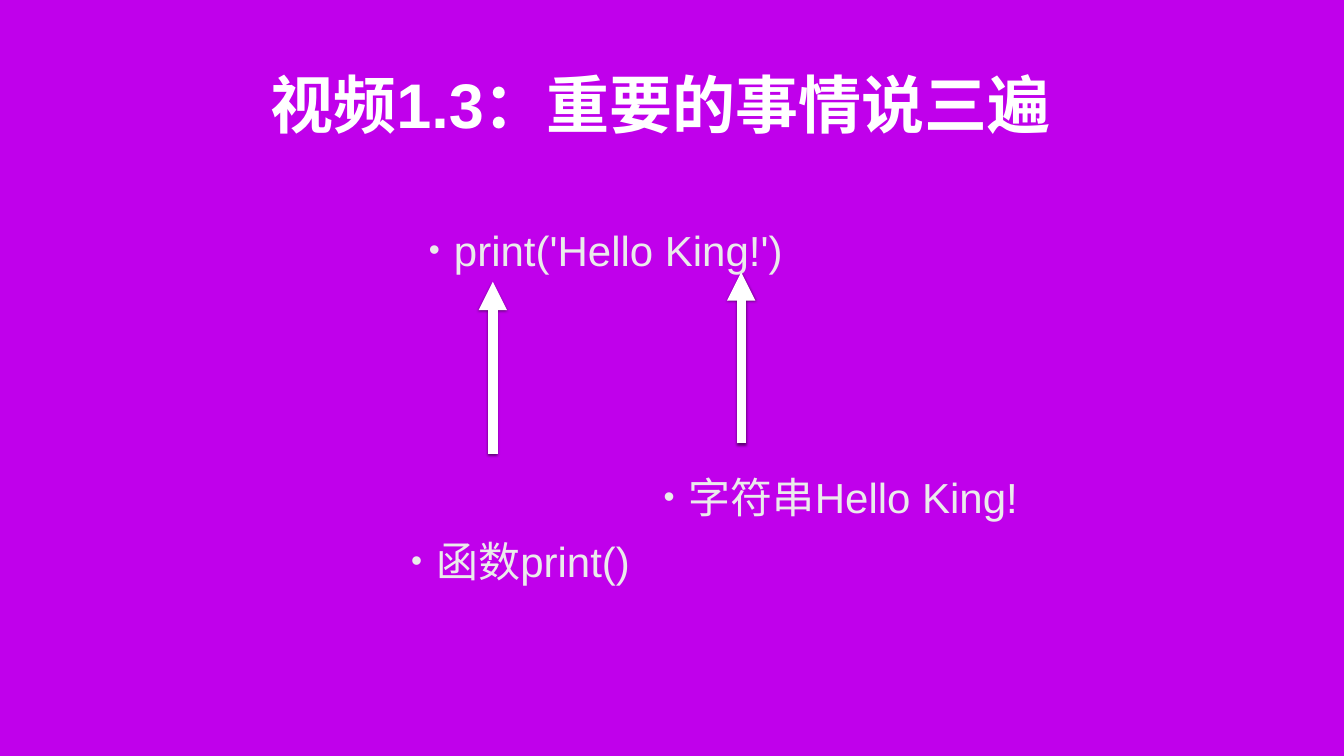
from pptx import Presentation
from pptx.dml.color import RGBColor
from pptx.enum.shapes import MSO_CONNECTOR as Connector
from pptx.enum.text import MSO_ANCHOR as Anchor, MSO_AUTO_SIZE as AutoSize, PP_ALIGN as Align
from pptx.oxml import parse_xml
from pptx.oxml.ns import nsdecls
from pptx.util import Cm, Pt

COLOURS = {"background": "C000EB", "title": "FFFFFF", "body": "EBEBEB",
           "arrow": "FFFFFF", "shadow": "000000"}
FONT = "Arial"
INSET = Cm(0.15)
INDENT = Cm(1.27)


def colour(name):
    return RGBColor.from_string(COLOURS[name])


def place(shape, left, top, width, height):
    shape.left, shape.top = Cm(left), Cm(top)
    shape.width, shape.height = Cm(width), Cm(height)


def add_bullet(para):
    """Give the paragraph a small round bullet with a hanging indent."""
    props = para._p.get_or_add_pPr()
    props.set("marL", str(INDENT))
    props.set("indent", str(-INDENT))
    for element in ('buSzPct {} val="75000"', 'buFont {} typeface="Arial"', 'buChar {} char="•"'):
        props.append(parse_xml(f"<a:{element.format(nsdecls('a'))}/>"))


def write(shape, text, size=60, shade="body", bold=False, align=Align.LEFT,
          spacing=1.0, bullet=False):
    frame = shape.text_frame
    frame.word_wrap = True
    frame.auto_size = AutoSize.NONE
    frame.vertical_anchor = Anchor.MIDDLE
    frame.margin_left = frame.margin_right = INSET
    frame.margin_top = frame.margin_bottom = INSET
    para = frame.paragraphs[0]
    if bullet:
        add_bullet(para)
    para.alignment = align
    para.line_spacing = spacing
    para.space_before = Pt(0)
    span = para.add_run()
    span.text = text
    span.font.name = FONT
    span.font.size = Pt(size)
    span.font.bold = bold
    span.font.color.rgb = colour(shade)


def add_label(page, text, left, top):
    box = page.shapes.add_textbox(Cm(left), Cm(top), Cm(26.82), Cm(11.99))
    write(box, text, spacing=2.0, bullet=True)


def add_up_arrow(page, x, bottom, top):
    arrow = page.shapes.add_connector(Connector.STRAIGHT, Cm(x), Cm(bottom), Cm(x), Cm(top))
    arrow.line.width = Pt(13.5)
    arrow.line.color.rgb = colour("arrow")
    arrow.line._get_or_add_ln().append(parse_xml(f'<a:tailEnd {nsdecls("a")} type="triangle"/>'))
    arrow._element.spPr.append(parse_xml(
        f'<a:effectLst {nsdecls("a")}>'
        f'<a:outerShdw blurRad="{Pt(4)}" dist="{Pt(2)}" dir="5400000" rotWithShape="0">'
        f'<a:srgbClr val="{COLOURS["shadow"]}"><a:alpha val="50000"/></a:srgbClr>'
        '</a:outerShdw></a:effectLst>'))


def main():
    deck = Presentation()
    deck.slide_width, deck.slide_height = Cm(67.74), Cm(38.1)
    page = deck.slides.add_slide(deck.slide_layouts[1])
    page.background.fill.solid()
    page.background.fill.fore_color.rgb = colour("background")

    title, code = page.placeholders
    place(title, 3.4, 0.25, 59.79, 9.91)
    write(title, "视频1.3：重要的事情说三遍", size=90, shade="title", bold=True, align=Align.CENTER)
    place(code, 21.46, 8.38, 28.55, 5.84)
    write(code, "print('Hello King!')", spacing=2.0, bullet=True)

    add_up_arrow(page, 24.84, bottom=22.86, top=14.2)
    add_label(page, "函数print()", 20.57, 20.98)
    add_up_arrow(page, 37.36, bottom=22.35, top=13.72)
    add_label(page, "字符串Hello King!", 33.3, 17.75)

    deck.save("out.pptx")


if __name__ == "__main__":
    main()
